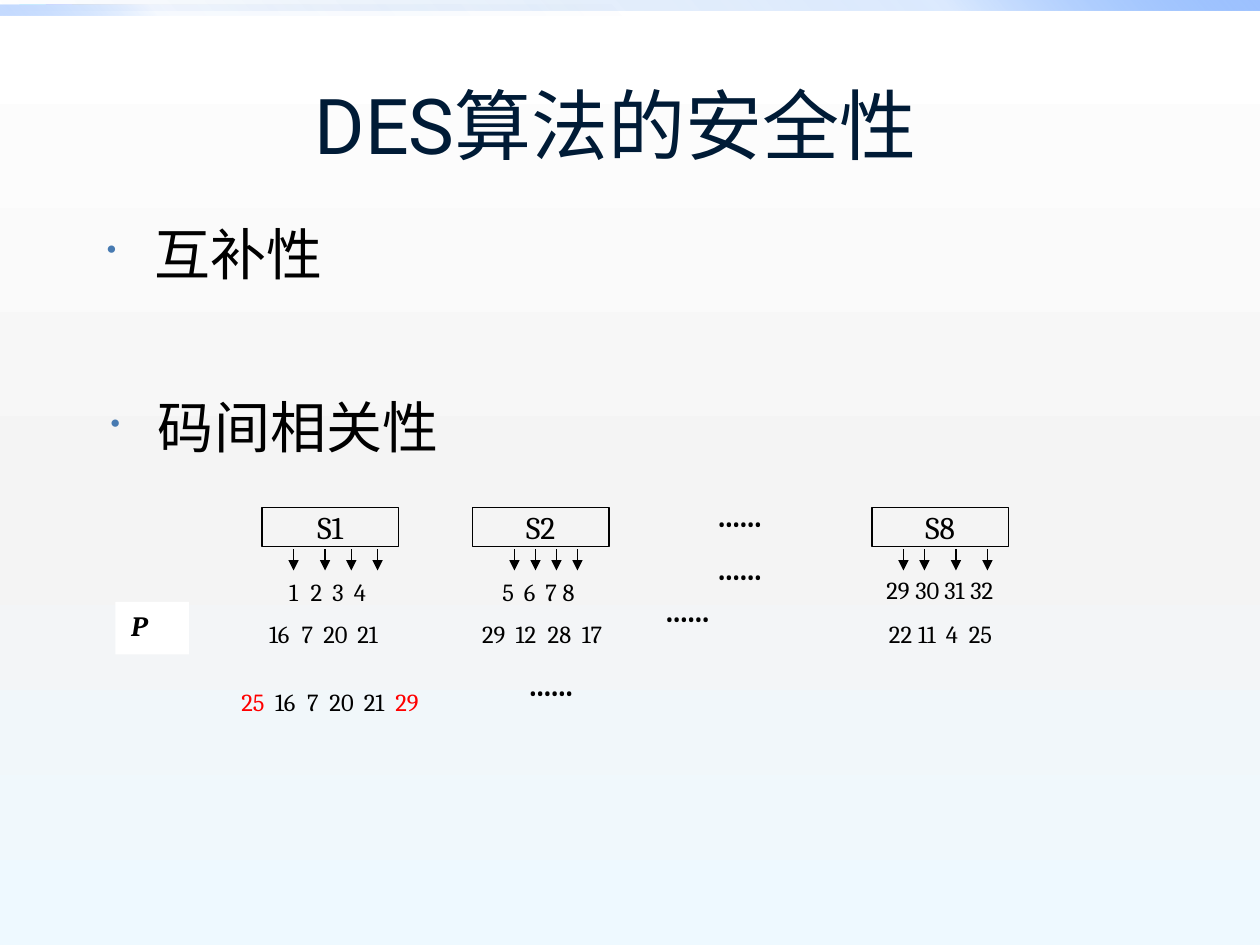
import pptx
import pptx.util
import pptx.dml.color
import pptx.enum.shapes
import pptx.enum.text
import pptx.oxml
import pptx.oxml.ns
from dataclasses import dataclass

Pt = pptx.util.Pt
qn = pptx.oxml.ns.qn
ALIGN = pptx.enum.text.PP_ALIGN
ANCHOR = pptx.enum.text.MSO_ANCHOR
RECT = pptx.enum.shapes.MSO_SHAPE.RECTANGLE


@dataclass(frozen=True)
class Theme:
    title: str = "001B36"
    ink: str = "000000"
    accent: str = "FF0000"
    bullet: str = "477AB1"
    paper: str = "FFFFFF"
    title_font: str = "Roboto"
    body_font: str = "Times New Roman"
    diagram_font: str = "Cambria"
    title_size: int = 44
    body_size: int = 32
    box_size: int = 18
    label_size: int = 16
    number_size: int = 14


T = Theme()
INDENT = 15.5  # left inset of the numbers under each S-box


def rgb(value):
    return pptx.dml.color.RGBColor.from_string(value)


def xml(parent, tag, **attrs):
    child = parent.makeelement(qn(tag), {k: str(v) for k, v in attrs.items()})
    parent.append(child)
    return child


def set_gradient(fill, owner, stops, angle):
    """Stops are (position %, colour, opacity %)."""
    fill.gradient()
    grad = owner.find(".//" + qn("a:gradFill"))
    for child in list(grad):
        grad.remove(child)
    stop_list = xml(grad, "a:gsLst")
    for position, color, opacity in stops:
        stop = xml(stop_list, "a:gs", pos=position * 1000)
        clr = xml(stop, "a:srgbClr", val=color)
        if opacity < 100:
            xml(clr, "a:alpha", val=opacity * 1000)
    xml(grad, "a:lin", ang=angle * 60000, scaled=0)


def add_rect(s, box):
    sp = s.shapes.add_shape(RECT, *map(Pt, box))
    sp.shadow.inherit = False
    sp.line.fill.background()
    return sp


def add_run(p, text, font, size, color, bold=False, italic=False):
    r = p.add_run()
    r.text = text
    r.font.name, r.font.size = font, Pt(size)
    r.font.bold, r.font.italic = bold, italic
    r.font.color.rgb = rgb(color)


def frame(sp, insets=(0, 0, 0, 0), align=ALIGN.LEFT, anchor=ANCHOR.TOP):
    tf = sp.text_frame
    tf.word_wrap = True
    tf.vertical_anchor = anchor
    tf.margin_left, tf.margin_top, tf.margin_right, tf.margin_bottom = map(Pt, insets)
    p = tf.paragraphs[0]
    p.alignment = align
    return p


def text_box(s, box, **options):
    return frame(s.shapes.add_textbox(*map(Pt, box)), **options)


def add_backdrop(s, width):
    set_gradient(s.background.fill, s.background._cSld,
                 [(0, "FFFFFF", 100), (55, "F4F4F4", 100), (100, "EEF9FF", 100)], 90)
    for box, opacities, angle in (((0, 0, width, 5.8), (0, 20, 100), 315),
                                  ((0, 2.9, width / 2, 5.8), (0, 5, 60), 135)):
        sp = add_rect(s, box)
        stops = zip((0, 75, 100), ("0058B7", "4F95FF", "9EC2FF"), opacities)
        set_gradient(sp.fill, sp._element.spPr, stops, angle)


def add_title(s, box, text):
    p = text_box(s, box, insets=(7.2, 3.6, 7.2, 3.6), align=ALIGN.CENTER,
                 anchor=ANCHOR.MIDDLE)
    add_run(p, text, T.title_font, T.title_size, T.title)


def add_bullet(s, box, text):
    p = text_box(s, box, insets=(7.2, 0, 7.2, 0))
    pPr = p._p.get_or_add_pPr()
    pPr.set("marL", str(Pt(27)))
    pPr.set("indent", str(-Pt(27)))
    xml(xml(pPr, "a:buClr"), "a:srgbClr", val=T.bullet)
    xml(pPr, "a:buSzPct", val=50000)
    xml(pPr, "a:buChar", char="•")
    add_run(p, text, T.body_font, T.body_size, T.ink)


def add_numbers(s, box, numbers, tabs, inset=(INDENT, 4), accents=()):
    """A row of numbers, each after the first set at a tab stop."""
    p = text_box(s, box, insets=(*inset, 0, 0))
    tab_list = xml(p._p.get_or_add_pPr(), "a:tabLst")
    for tab in tabs:
        xml(tab_list, "a:tab", pos=Pt(tab), algn="l")
    for i, number in enumerate(numbers.split()):
        add_run(p, ("\t" if i else "") + number, T.diagram_font, T.number_size,
                T.accent if number in accents else T.ink)


def add_arrow(s, x, top, bottom):
    c = s.shapes.add_connector(pptx.enum.shapes.MSO_CONNECTOR.STRAIGHT,
                               Pt(x), Pt(top), Pt(x), Pt(bottom))
    c.line.color.rgb = rgb(T.ink)
    c.line.width = Pt(0.75)
    xml(c.line._get_or_add_ln(), "a:tailEnd", type="triangle")
    xml(c._element.spPr, "a:effectLst")


def add_s_column(s, box, name, arrows, rows):
    """An S-box, its four output arrows and the number rows below it."""
    x, y, width, height = box
    sp = add_rect(s, box)
    sp.fill.background()
    sp.line.color.rgb = rgb(T.ink)
    sp.line.width = Pt(0.75)
    p = frame(sp, align=ALIGN.CENTER, anchor=ANCHOR.MIDDLE)
    add_run(p, name, T.diagram_font, T.box_size, T.ink)
    for dx in arrows:
        add_arrow(s, x + dx, y + 24, y + 36)
    for dx, dy, row_width, numbers, tabs in rows:
        add_numbers(s, (x + dx, y + dy, row_width, 21.6), numbers, tabs)


def add_dots(s, box):
    p = text_box(s, box, align=ALIGN.CENTER)
    add_run(p, "......", T.diagram_font, T.box_size, T.ink, bold=True)


def add_label(s, box, text):
    sp = add_rect(s, box)
    sp.fill.solid()
    sp.fill.fore_color.rgb = rgb(T.paper)
    p = frame(sp, insets=(9, 3.6, 7.2, 3.6))
    add_run(p, text, T.diagram_font, T.label_size, T.ink, bold=True, italic=True)


def add_diagram(s, box):
    x, y, width, height = box
    # S-boxes: offset, name, arrow offsets, rows of (dx, dy, width, numbers, tabs)
    columns = [
        (83.75, "S1", (18, 36, 51, 66),
         [(0, 36, 90, "1 2 3 4", (12.3, 24.6, 36.9)),
          (-11.5, 60, 114, "16 7 20 21", (18.6, 31, 50.5))]),
        (204, "S2", (24, 36, 48, 60),
         [(1.5, 36, 90, "5 6 7 8", (12.3, 24.6, 34.5)),
          (-10, 59.5, 114, "29 12 28 17", (19.2, 37.5, 57))]),
        (432.25, "S8", (18, 30, 48, 66),
         [(-7.25, 34.5, 114, "29 30 31 32", (16.6, 33.2, 48)),
          (-5.75, 59.5, 114, "22 11 4 25", (16.6, 32.5, 45.7))]),
    ]
    for dx, name, arrows, rows in columns:
        add_s_column(s, (x + dx, y, 78, 22.5), name, arrows, rows)
    # Permutation label and expanded row
    add_label(s, (x, y + 54, 42, 30), "P")
    add_numbers(s, (x + 72, y + 101.5, 149, 17.3), "25 16 7 20 21 29",
                (19.2, 37.5, 50.3, 70, 88), inset=(0, 1), accents=("25", "29"))
    # Ellipses
    for dx, dy in ((317.75, -6.5), (317.75, 24), (288, 47.5), (210, 90)):
        add_dots(s, (x + dx, y + dy, 78, 28.8))


def main():
    prs = pptx.Presentation()
    prs.slide_width, prs.slide_height = Pt(720), Pt(540)
    s = prs.slides.add_slide(prs.slide_layouts[6])
    add_backdrop(s, 720)
    add_title(s, (28, 39.6, 648, 62), "DES算法的安全性")
    add_bullet(s, (54, 125.3, 612, 50.4), "互补性")
    add_bullet(s, (56.2, 224.6, 612, 50.4), "码间相关性")
    add_diagram(s, (66, 290, 510, 120))
    prs.save("out.pptx")


if __name__ == "__main__":
    main()
